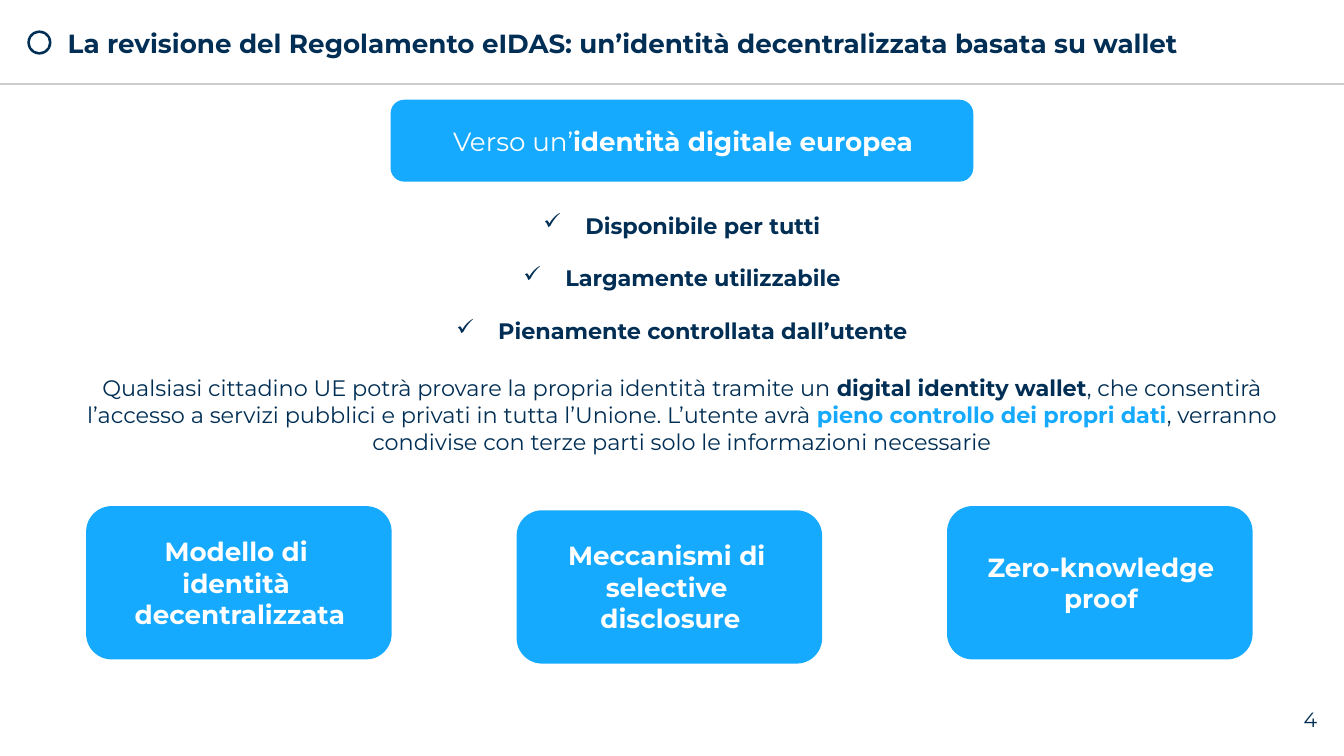
from dataclasses import dataclass

from lxml.etree import SubElement
from pptx import Presentation
from pptx.dml.color import RGBColor
from pptx.enum.shapes import MSO_CONNECTOR, MSO_SHAPE
from pptx.enum.text import MSO_ANCHOR, PP_ALIGN
from pptx.oxml.ns import qn
from pptx.shapes.autoshape import Shape
from pptx.slide import Slide
from pptx.text.text import TextFrame, _Paragraph
from pptx.util import Pt

PX = 9525
FONT = "Montserrat"
NAVY = RGBColor(0x00, 0x2E, 0x54)
BLUE = RGBColor(0x16, 0xAA, 0xFF)
GREY = RGBColor(0xCC, 0xCC, 0xCC)
WHITE = RGBColor(0xFF, 0xFF, 0xFF)
LARGE = 18.7
MEDIUM = 16
SMALL = 14.7


@dataclass(frozen=True)
class Box:
    left: int
    top: int
    width: int
    height: int

    def emu(self) -> list[int]:
        return [value * PX for value in (self.left, self.top, self.width, self.height)]


@dataclass(frozen=True)
class Span:
    text: str
    bold: bool = False
    color: RGBColor = NAVY


@dataclass(frozen=True)
class Line:
    spans: list[Span]
    size: float
    align: PP_ALIGN = PP_ALIGN.CENTER
    space_before: float = 0
    bullet: str = ""


@dataclass(frozen=True)
class Card:
    top: int
    lines: list[str]


CARD_LEFT, CARD_PITCH, CARD_WIDTH, CARD_HEIGHT = 82, 410, 291, 146
CARDS = [
    Card(482, ["Modello di ", "identità ", "decentralizzata"]),
    Card(486, ["Meccanismi di ", "selective ", "disclosure"]),
    Card(482, ["Zero-knowledge", "proof"]),
]
BENEFITS = ["Disponibile per tutti", "Largamente utilizzabile", "Pienamente controllata dall’utente"]
EXPLANATION = [
    Span("Qualsiasi cittadino UE potrà provare la propria identità tramite un "),
    Span("digital identity wallet", True),
    Span(", che consentirà l’accesso a servizi pubblici e privati in tutta l’Unione. L’utente avrà "),
    Span("pieno controllo dei propri dati", True, BLUE),
    Span(", verranno condivise con terze parti solo le informazioni necessarie"),
]


def add_bullet(paragraph: _Paragraph, character: str) -> None:
    properties = paragraph._p.get_or_add_pPr()
    properties.set("marL", str(40 * PX))
    properties.set("indent", str(-40 * PX))
    SubElement(properties, qn("a:buChar"), char=character)


def write_lines(frame: TextFrame, lines: list[Line]) -> None:
    for index, line in enumerate(lines):
        paragraph = frame.add_paragraph() if index else frame.paragraphs[0]
        paragraph.alignment = line.align
        paragraph.space_before = Pt(line.space_before)
        if line.bullet:
            add_bullet(paragraph, line.bullet)
        for span in line.spans:
            run = paragraph.add_run()
            run.text = span.text
            run.font.name = FONT
            run.font.size = Pt(line.size)
            run.font.bold = span.bold
            run.font.color.rgb = span.color


def add_text(slide: Slide, box: Box, lines: list[Line], anchor: MSO_ANCHOR) -> None:
    frame = slide.shapes.add_textbox(*box.emu()).text_frame
    frame.word_wrap = True
    frame.vertical_anchor = anchor
    write_lines(frame, lines)


def add_plain_shape(slide: Slide, kind: MSO_SHAPE, box: Box, color: RGBColor) -> Shape:
    shape = slide.shapes.add_shape(kind, *box.emu())
    shape.shadow.inherit = False
    shape.fill.solid()
    shape.fill.fore_color.rgb = color
    shape.line.fill.background()
    return shape


def add_panel(slide: Slide, box: Box, lines: list[Line]) -> None:
    frame = add_plain_shape(slide, MSO_SHAPE.ROUNDED_RECTANGLE, box, BLUE).text_frame
    frame.word_wrap = False
    frame.vertical_anchor = MSO_ANCHOR.MIDDLE
    frame.margin_left, frame.margin_right = 12 * PX, 10 * PX
    frame.margin_top = frame.margin_bottom = 5 * PX
    write_lines(frame, lines)


def add_header(slide: Slide) -> None:
    rule = slide.shapes.add_connector(MSO_CONNECTOR.STRAIGHT, 0, 80 * PX, 1280 * PX, 80 * PX)
    rule.line.color.rgb = GREY
    rule.line.width = Pt(1)
    SubElement(rule._element.spPr, qn("a:effectLst"))
    marker = add_plain_shape(slide, MSO_SHAPE.DONUT, Box(26, 29, 23, 23), NAVY)
    marker.adjustments[0] = 0.1
    title = Span("La revisione del Regolamento eIDAS: un’identità decentralizzata basata su wallet", True)
    add_text(slide, Box(55, 2, 1169, 78), [Line([title], LARGE, PP_ALIGN.LEFT)], MSO_ANCHOR.MIDDLE)


def main() -> None:
    presentation = Presentation()
    presentation.slide_width = 1280 * PX
    presentation.slide_height = 720 * PX
    slide = presentation.slides.add_slide(presentation.slide_layouts[6])

    add_header(slide)
    add_text(slide, Box(976, 666, 288, 38), [Line([Span("4")], SMALL, PP_ALIGN.RIGHT)], MSO_ANCHOR.MIDDLE)

    body = [
        Line([Span(text, True)], MEDIUM, space_before=18.5 if index else 0, bullet="✓")
        for index, text in enumerate(BENEFITS)
    ]
    body.append(Line(EXPLANATION, MEDIUM, space_before=21.5))
    add_text(slide, Box(40, 197, 1219, 247), body, MSO_ANCHOR.TOP)

    banner = [Span("Verso un’", color=WHITE), Span("identità digitale europea", True, WHITE)]
    add_panel(slide, Box(372, 95, 555, 78), [Line(banner, LARGE)])
    for index, card in enumerate(CARDS):
        box = Box(CARD_LEFT + index * CARD_PITCH, card.top, CARD_WIDTH, CARD_HEIGHT)
        add_panel(slide, box, [Line([Span(text, True, WHITE)], LARGE) for text in card.lines])

    presentation.save("out.pptx")


if __name__ == "__main__":
    main()
